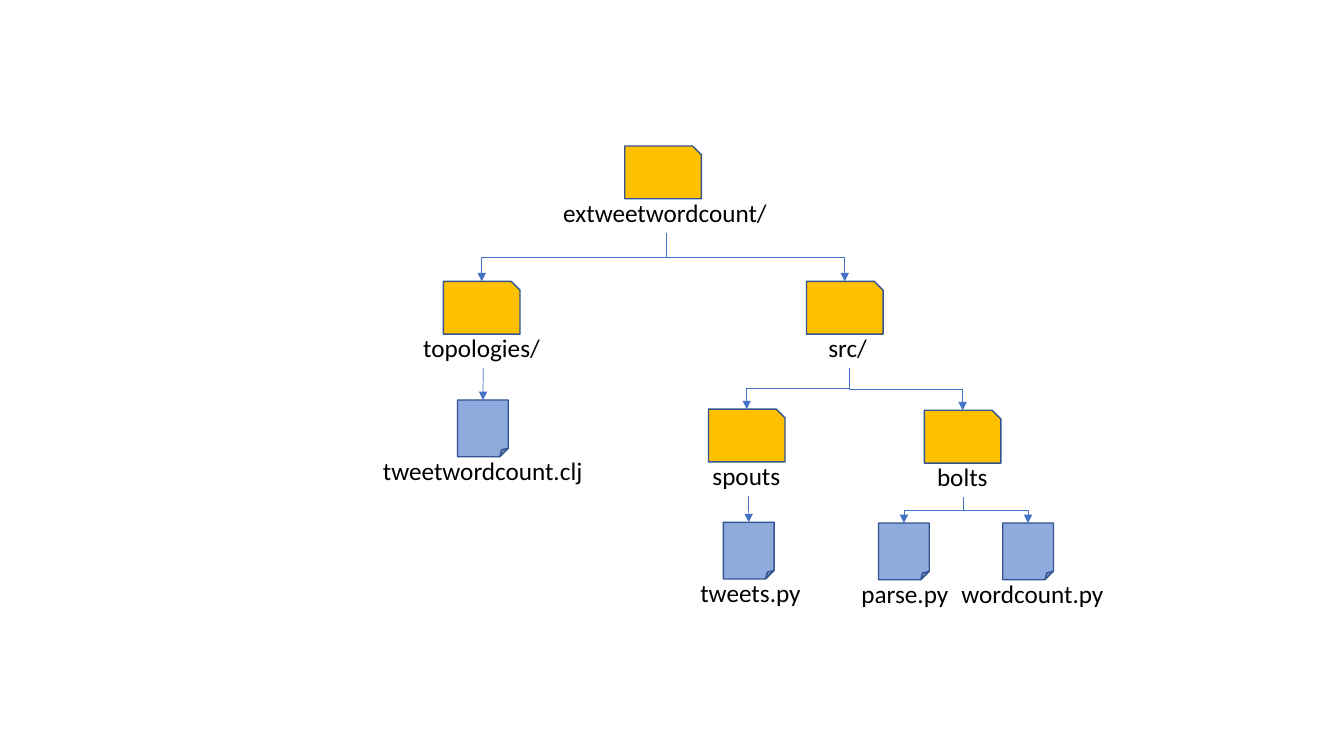
from pptx import Presentation
from pptx.dml.color import RGBColor
from pptx.enum.shapes import MSO_CONNECTOR, MSO_SHAPE
from pptx.enum.text import PP_ALIGN
from pptx.oxml.ns import qn
from pptx.util import Cm, Pt
from lxml import etree

GOLD = RGBColor(0xFF, 0xC0, 0x00)
PALE = RGBColor(0x8F, 0xAA, 0xDC)
EDGE = RGBColor(0x32, 0x54, 0x91)
BLUE = RGBColor(0x44, 0x72, 0xC4)
BLACK = RGBColor(0, 0, 0)
LEFT = PP_ALIGN.LEFT
ELBOW, LINE = MSO_CONNECTOR.ELBOW, MSO_CONNECTOR.STRAIGHT

# Icon kinds: shape, fill, width, height (cm)
DIR = (MSO_SHAPE.SNIP_1_RECTANGLE, GOLD, 1.93, 1.33)
FILE = (MSO_SHAPE.FOLDED_CORNER, PALE, 1.28, 1.43)

# Nodes: name, parent, kind, icon centre, icon top, label centre, label width (cm)
NODES = [
    ("extweetwordcount/", None, DIR, 16.71, 3.68, 16.79, 5.69),
    ("topologies/", "extweetwordcount/", DIR, 12.14, 7.09, 12.18, 3.53),
    ("src/", "extweetwordcount/", DIR, 21.29, 7.09, 21.41, 1.57),
    ("tweetwordcount.clj", "topologies/", FILE, 12.17, 10.08, 12.26, 5.72),
    ("spouts", "src/", DIR, 18.82, 10.31, 18.86, 2.31),
    ("bolts", "src/", DIR, 24.26, 10.34, 24.28, 1.83),
    ("tweets.py", "spouts", FILE, 18.87, 13.16, 18.99, 3.18),
    ("parse.py", "bolts", FILE, 22.78, 13.18, 23.05, 3.18),
    ("wordcount.py", "bolts", FILE, 25.91, 13.18, 26.14, 4.32),
]
LIFT = 0.16   # label box overlaps the icon by this much
HIGH = 1.02   # label height
NEAR = 0.1    # a smaller sideways step is drawn straight

deck = Presentation()
deck.slide_width, deck.slide_height = Cm(33.87), Cm(19.05)
blank = deck.slide_layouts[6]
shapes = deck.slides.add_slide(blank).shapes


def add_icon(kind, mid, top):
    form, fill, wide, high = kind
    icon = shapes.add_shape(form, Cm(mid - wide / 2), Cm(top), Cm(wide), Cm(high))
    icon.shadow.inherit = False
    icon.fill.solid()
    icon.fill.fore_color.rgb = fill
    icon.line.color.rgb = EDGE
    icon.line.width = Pt(1)


def add_label(text, mid, top, wide):
    box = shapes.add_textbox(Cm(mid - wide / 2), Cm(top), Cm(wide), Cm(HIGH))
    box.text_frame.word_wrap = True
    para = box.text_frame.paragraphs[0]
    para.text = text
    para.alignment = LEFT
    para.font.name = "Calibri"
    para.font.size = Pt(18)
    para.font.color.rgb = BLACK


def add_arrow(x1, y1, x2, y2):
    bent = abs(x2 - x1) > NEAR
    if bent:
        # An elbow leaves sideways, so lay it down and turn it a quarter
        side = 1 if x2 > x1 else -1
        mid_x, mid_y = (x1 + x2) / 2, (y1 + y2) / 2
        half, rise = side * (y2 - y1) / 2, abs(x2 - x1) / 2
        ends = (mid_x + half, mid_y - rise, mid_x - half, mid_y + rise)
    else:
        ends = (x1, y1, x2, y2)
    arrow = shapes.add_connector(ELBOW if bent else LINE, *map(Cm, ends))
    arrow.line.color.rgb = BLUE
    arrow.line.width = Pt(0.5)
    props = arrow._element.spPr
    if bent:
        turn = 270 if side > 0 else 90
        props.find(qn("a:xfrm")).set("rot", str(turn * 60000))
    tail = etree.SubElement(props.find(qn("a:ln")), qn("a:tailEnd"))
    tail.set("type", "triangle")
    etree.SubElement(props, qn("a:effectLst"))


# Icons and labels; remember where each label ends
exits = {}
for name, _, kind, mid, top, centre, wide in NODES:
    add_icon(kind, mid, top)
    label_top = top + kind[3] - LIFT
    add_label(name, centre, label_top, wide)
    exits[name] = (centre, label_top + HIGH)

# Arrows from each parent's label to the child's icon
for _, parent, _, mid, top, _, _ in NODES:
    if parent:
        add_arrow(*exits[parent], mid, top)

deck.save("out.pptx")
